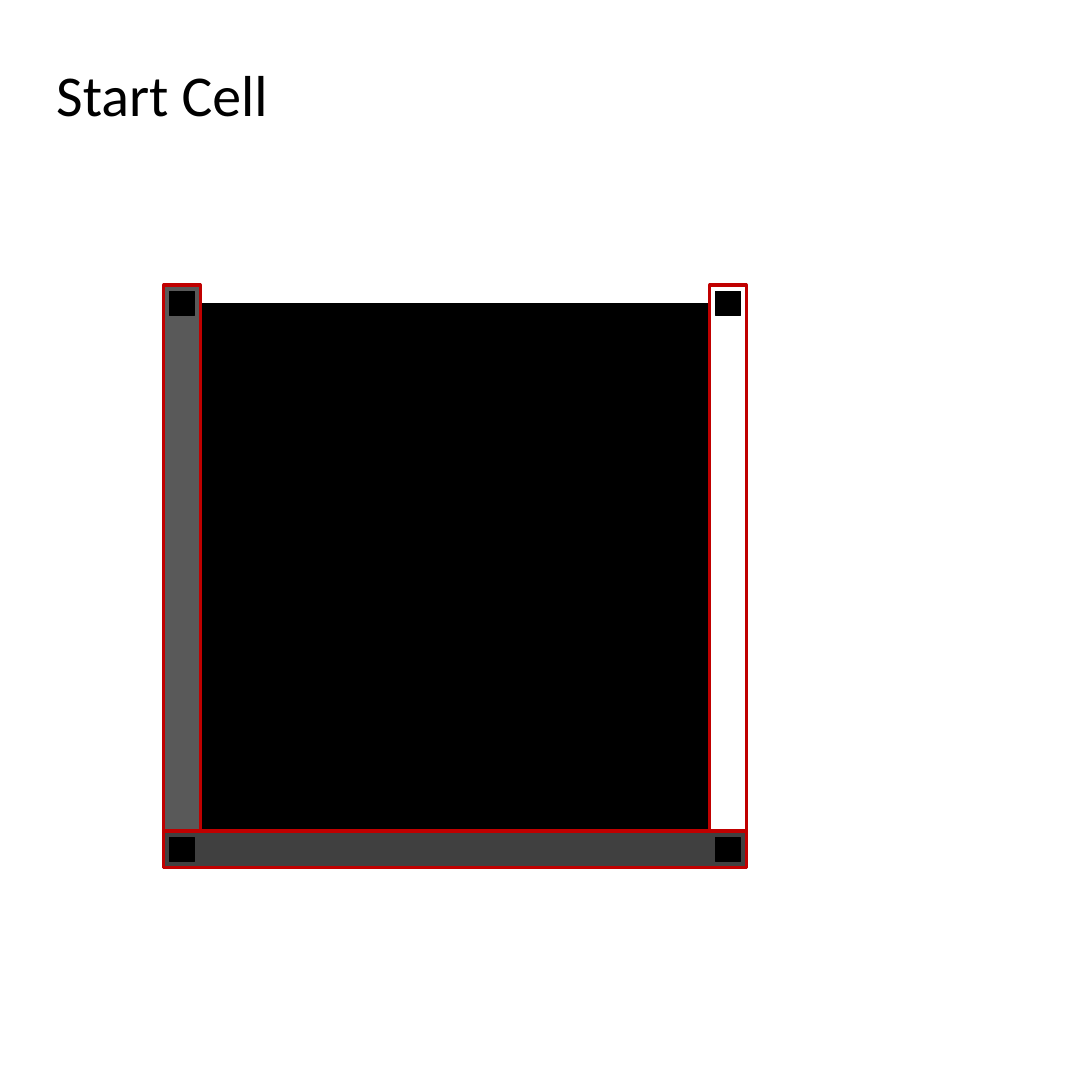
from itertools import product

from pptx import Presentation
from pptx import util as u
from pptx.dml.color import RGBColor
from pptx.enum import shapes, text

BLACK = RGBColor(0x00, 0x00, 0x00)
WHITE = RGBColor(0xFF, 0xFF, 0xFF)
RED = RGBColor(0xC0, 0x00, 0x00)
SIDE_GRAY = RGBColor(0x59, 0x59, 0x59)
BASE_GRAY = RGBColor(0x40, 0x40, 0x40)

SLIDE_SIZE = 36
CELL_LEFT, CELL_TOP, CELL_SIZE = 6, 10, 18
CELL_RIGHT = CELL_LEFT + CELL_SIZE
CELL_BOTTOM = CELL_TOP + CELL_SIZE
CELL_MIDDLE_X = CELL_LEFT + CELL_SIZE / 2
CELL_MIDDLE_Y = CELL_TOP + CELL_SIZE / 2
WALL_WIDTH = 1.2
WALL_LENGTH = CELL_SIZE + WALL_WIDTH
POST_SIZE = 0.8


class CellSlide:
    font = "Calibri"
    title_size = 54

    def __init__(self, presentation):
        self.slide = presentation.slides.add_slide(presentation.slide_layouts[5])

    def title(self, wording, left, top, width, height):
        shape = self.slide.shapes.title
        shape.left, shape.top = u.Cm(left), u.Cm(top)
        shape.width, shape.height = u.Cm(width), u.Cm(height)
        frame = shape.text_frame
        frame.word_wrap = True
        frame.auto_size = text.MSO_AUTO_SIZE.SHAPE_TO_FIT_TEXT
        frame.vertical_anchor = text.MSO_ANCHOR.TOP
        paragraph = frame.paragraphs[0]
        paragraph.alignment = text.PP_ALIGN.LEFT
        run = paragraph.add_run()
        run.text = wording
        run.font.name = self.font
        run.font.size = u.Pt(self.title_size)
        run.font.color.rgb = BLACK

    def block(self, center_x, center_y, width, height, fill, line=BLACK, line_width=1):
        shape = self.slide.shapes.add_shape(
            shapes.MSO_SHAPE.RECTANGLE,
            u.Cm(center_x - width / 2),
            u.Cm(center_y - height / 2),
            u.Cm(width),
            u.Cm(height),
        )
        shape.shadow.inherit = False
        shape.fill.solid()
        shape.fill.fore_color.rgb = fill
        shape.line.color.rgb = line
        shape.line.width = u.Pt(line_width)

    def wall(self, center_x, center_y, width, height, fill):
        self.block(center_x, center_y, width, height, fill, RED, 3)

    def post(self, center_x, center_y):
        self.block(center_x, center_y, POST_SIZE, POST_SIZE, BLACK)


def main():
    presentation = Presentation()
    presentation.slide_width = presentation.slide_height = u.Cm(SLIDE_SIZE)
    cell = CellSlide(presentation)
    cell.title("Start Cell", 1.6, 1.8, 15.4, 2.57)
    cell.block(CELL_MIDDLE_X, CELL_MIDDLE_Y, CELL_SIZE, CELL_SIZE, BLACK)
    for center_x, fill in ((CELL_LEFT, SIDE_GRAY), (CELL_RIGHT, WHITE)):
        cell.wall(center_x, CELL_MIDDLE_Y, WALL_WIDTH, WALL_LENGTH, fill)
    cell.wall(CELL_MIDDLE_X, CELL_BOTTOM, WALL_LENGTH, WALL_WIDTH, BASE_GRAY)
    for center_y, center_x in product((CELL_TOP, CELL_BOTTOM), (CELL_LEFT, CELL_RIGHT)):
        cell.post(center_x, center_y)
    presentation.save("out.pptx")


if __name__ == "__main__":
    main()
